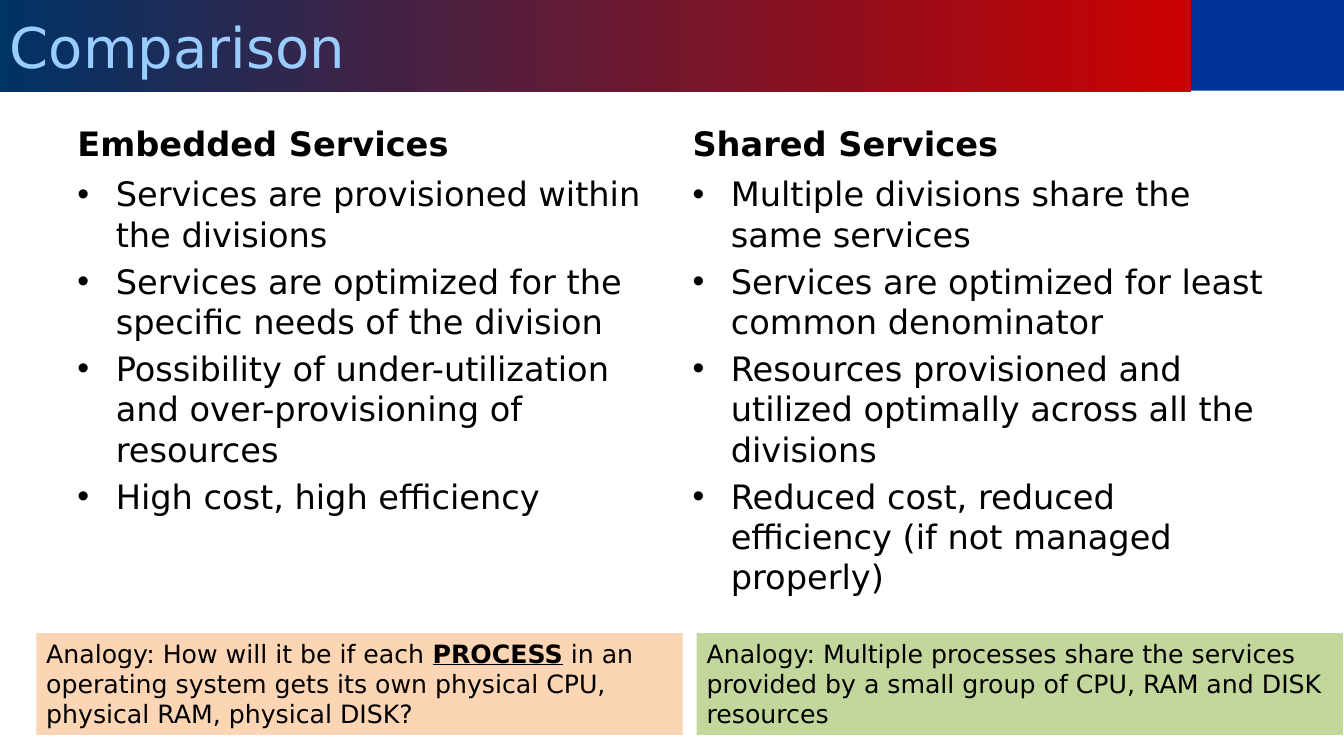
from lxml import etree
from pptx import Presentation
from pptx.dml.color import RGBColor
from pptx.enum import shapes, text
from pptx.oxml.ns import qn
from pptx.util import Inches, Pt

FONT = "DejaVu Sans"
COLORS = {
    "navy": "003366", "red": "CC0000", "blue": "003399", "sky": "99CCFF",
    "black": "000000", "peach": "FCD5B5", "green": "C3D69B",
}
TITLE = "Comparison"
COLUMNS = [
    {
        "heading": "Embedded Services",
        "points": [
            "Services are provisioned within the divisions",
            "Services are optimized for the specific needs of the division",
            "Possibility of under-utilization and over-provisioning of resources",
            "High cost, high efficiency",
        ],
        "analogy": [
            ("Analogy: How will it be if each ", False),
            ("PROCESS", True),
            (" in an operating system gets its own physical CPU, "
             "physical RAM, physical DISK?", False),
        ],
        "fill": "peach",
    },
    {
        "heading": "Shared Services",
        "points": [
            "Multiple divisions share the same services",
            "Services are optimized for least common denominator",
            "Resources provisioned and utilized optimally across all the divisions",
            "Reduced cost, reduced efficiency (if not managed properly)",
        ],
        "analogy": [
            ("Analogy: Multiple processes share the services provided by "
             "a small group of CPU, RAM and DISK resources", False),
        ],
        "fill": "green",
    },
]

COLUMN_LEFT, COLUMN_PITCH, COLUMN_WIDTH = 0.67, 6.1, 5.89
ANALOGY_LEFT, ANALOGY_PITCH, ANALOGY_WIDTH = 0.36, 6.55, 6.41


def rgb(name):
    return RGBColor.from_string(COLORS[name])


def add_box(slide, left, top, width, height, fill=None):
    box = [Inches(v) for v in (left, top, width, height)]
    if fill is None:
        return slide.shapes.add_textbox(*box)
    sp = slide.shapes.add_shape(shapes.MSO_SHAPE.RECTANGLE, *box)
    sp.shadow.inherit = False
    sp.fill.solid()
    sp.fill.fore_color.rgb = rgb(fill)
    sp.line.fill.background()
    return sp


def write(sp, paragraphs, size=24, color="black", bold=False, bullet=False,
          before=0, anchor=text.MSO_ANCHOR.TOP):
    tf = sp.text_frame
    tf.word_wrap = True
    tf.vertical_anchor = anchor
    for i, runs in enumerate(paragraphs):
        p = tf.add_paragraph() if i else tf.paragraphs[0]
        p.alignment = text.PP_ALIGN.LEFT
        p.space_before = Pt(before)
        if bullet:
            pPr = p._p.get_or_add_pPr()
            pPr.set("marL", str(Inches(0.38)))
            pPr.set("indent", str(-Inches(0.38)))
            etree.SubElement(pPr, qn("a:buFont"), typeface="Arial")
            etree.SubElement(pPr, qn("a:buChar"), char="•")
        for words, stressed in runs:
            r = p.add_run()
            r.text = words
            r.font.name = FONT
            r.font.size = Pt(size)
            r.font.color.rgb = rgb(color)
            r.font.bold = bold or stressed
            r.font.underline = stressed


def main():
    prs = Presentation()
    prs.slide_width, prs.slide_height = Inches(13.33), Inches(7.5)
    slide = prs.slides.add_slide(prs.slide_layouts[6])

    add_box(slide, 11.78, 0, 1.56, 0.9, "blue")
    banner = add_box(slide, 0, 0, 11.81, 0.91, "navy")
    banner.fill.gradient()
    banner.fill.gradient_angle = 0
    for stop, name, position in zip(banner.fill.gradient_stops, ("navy", "red"), (0, 1)):
        stop.color.rgb = rgb(name)
        stop.position = position
    write(banner, [[(TITLE, False)]], size=40, color="sky",
          anchor=text.MSO_ANCHOR.MIDDLE)

    for i, column in enumerate(COLUMNS):
        left = COLUMN_LEFT + i * COLUMN_PITCH
        heading = add_box(slide, left, 0.97, COLUMN_WIDTH, 0.7)
        write(heading, [[(column["heading"], False)]], bold=True, before=4.8,
              anchor=text.MSO_ANCHOR.BOTTOM)
        points = add_box(slide, left, 1.67, COLUMN_WIDTH, 4.32)
        write(points, [[(point, False)] for point in column["points"]],
              bullet=True, before=4.8)
        analogy = add_box(slide, ANALOGY_LEFT + i * ANALOGY_PITCH, 6.28,
                          ANALOGY_WIDTH, 1.01, column["fill"])
        write(analogy, [column["analogy"]], size=18)

    prs.save("out.pptx")


if __name__ == "__main__":
    main()
